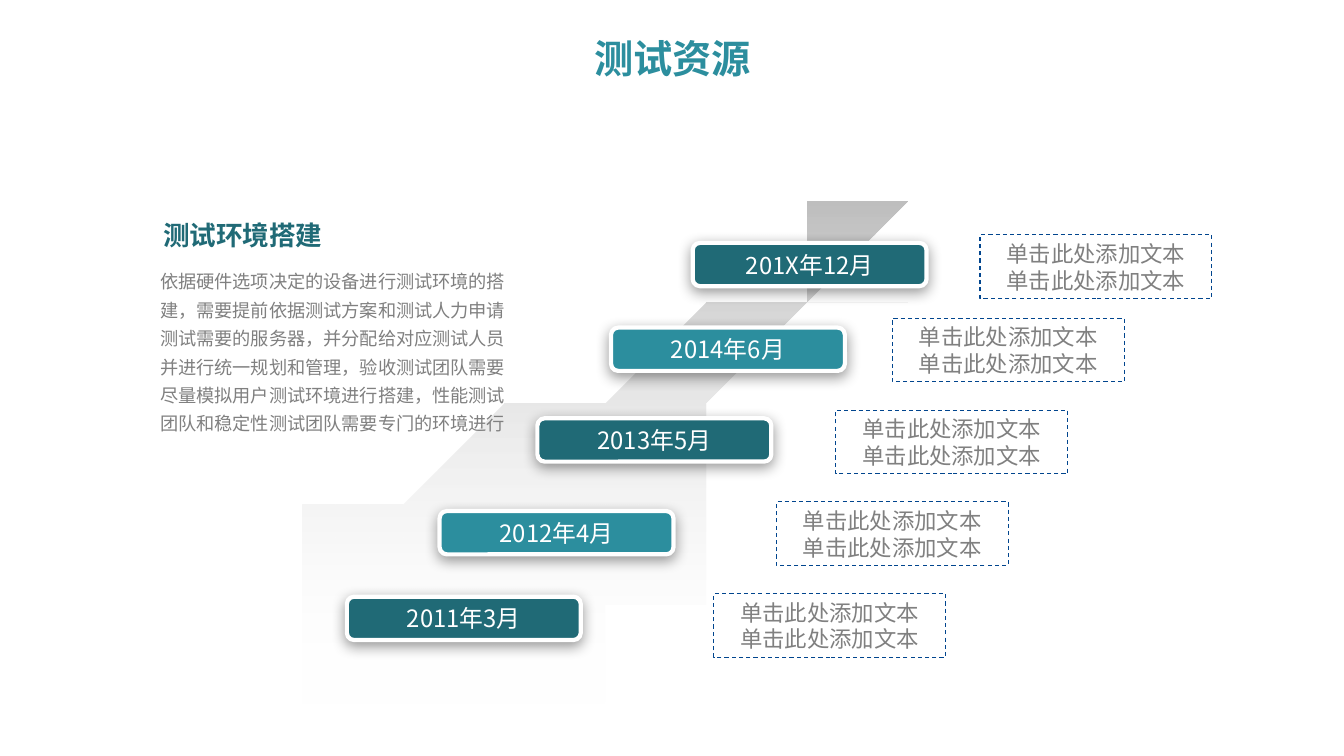
from lxml.etree import SubElement
from pptx import Presentation
from pptx.dml.color import RGBColor
from pptx.enum.dml import MSO_LINE
from pptx.enum.shapes import MSO_SHAPE as SHAPE
from pptx.enum.text import MSO_ANCHOR as ANCHOR, PP_ALIGN as ALIGN
from pptx.oxml import parse_xml
from pptx.oxml.ns import nsdecls, qn
from pptx.util import Inches, Pt

TEAL, DARK, GREY, WHITE = "2C8E9E", "206A76", "808080", "FFFFFF"
CJK = "Noto Sans CJK SC"
rgb = RGBColor.from_string


def put_text(sp, *lines, size, color, font=CJK, bold=False,
             align=ALIGN.LEFT, anchor=ANCHOR.MIDDLE, spacing=None):
    tf = sp.text_frame
    tf.word_wrap = True
    tf.vertical_anchor = anchor
    for i, line in enumerate(lines):
        p = tf.add_paragraph() if i else tf.paragraphs[0]
        p.alignment = align
        if spacing:
            p.line_spacing = spacing
        r = p.add_run()
        r.text = line
        r.font.size, r.font.bold, r.font.name = Pt(size), bold, font
        r.font.color.rgb = rgb(color)
        SubElement(r.font._element, qn("a:ea"), typeface=CJK)


prs = Presentation()
prs.slide_width, prs.slide_height = Inches(13.33), Inches(7.5)
s = prs.slides.add_slide(prs.slide_layouts[6])

# Rising arrow, fading out towards the bottom
outline = [
    (2.69, 5.56), (3.13, 5.29), (3.58, 5.06), (4.08, 4.82), (4.7, 4.5),
    (5.45, 4.11), (5.95, 3.82), (6.28, 3.64), (6.74, 3.33), (7.14, 3.05),
    (7.51, 2.74), (7.81, 2.51), (8.25, 2.15), (7.94, 2.01), (9.05, 1.65),
    (9.08, 2.63), (8.73, 2.4), (8.29, 2.83), (7.76, 3.36), (7.39, 3.81),
    (7.21, 4.13), (7.04, 4.46), (6.93, 4.76), (6.83, 5.05), (6.63, 5.61),
    (6.49, 6.14), (6.39, 6.56), (6.25, 7.04), (2.69, 7.04),
]
builder = s.shapes.build_freeform(*outline[0], scale=Inches(1))
builder.add_line_segments(outline[1:], close=True)
arrow = builder.convert_to_shape()
arrow.shadow.inherit = False
arrow.line.fill.background()
arrow.fill.gradient()
arrow.fill.gradient_angle = 270
for stop, color, position in zip(arrow.fill.gradient_stops, ("BFBFBF", WHITE), (0, 1)):
    stop.color.rgb = rgb(color)
    stop.position = position
faded = arrow._element.spPr.findall(".//" + qn("a:srgbClr"))[-1]
SubElement(faded, qn("a:alpha"), val="0")

# Milestones from the bottom up: date, left and top of the tag, left and top of the note
milestones = [
    ("2011年3月", 3.44, 5.92, 7.08, 5.89),
    ("2012年4月", 4.36, 5.07, 7.7, 4.98),
    ("2013年5月", 5.33, 4.15, 8.29, 4.07),
    ("2014年6月", 6.06, 3.25, 8.85, 3.16),
    ("201X年12月", 6.87, 2.41, 9.72, 2.33),
]
for i, (date, tag_x, tag_y, note_x, note_y) in enumerate(milestones):
    tag = s.shapes.add_shape(SHAPE.ROUNDED_RECTANGLE, Inches(tag_x), Inches(tag_y),
                             Inches(2.32), Inches(0.43))
    tag.fill.solid()
    tag.fill.fore_color.rgb = rgb(TEAL if i % 2 else DARK)
    tag.line.color.rgb = rgb(WHITE)
    tag.line.width = Pt(3)
    tag.shadow.inherit = False
    tag._element.spPr.find(qn("a:effectLst")).append(parse_xml(
        f'<a:outerShdw {nsdecls("a")} blurRad="{Pt(10)}" dist="{Pt(3)}" dir="5400000" '
        'algn="t" rotWithShape="0"><a:srgbClr val="000000"><a:alpha val="40000"/>'
        '</a:srgbClr></a:outerShdw>'))
    put_text(tag, date, size=17, color=WHITE, align=ALIGN.CENTER)

    note = s.shapes.add_shape(SHAPE.RECTANGLE, Inches(note_x), Inches(note_y),
                              Inches(2.3), Inches(0.63))
    note.shadow.inherit = False
    note.fill.background()
    note.line.color.rgb = rgb("01458E")
    note.line.width = Pt(0.75)
    note.line.dash_style = MSO_LINE.DASH
    put_text(note, *["单击此处添加文本"] * 2, size=16, color=GREY,
             align=ALIGN.CENTER, anchor=ANCHOR.TOP, spacing=Pt(19.2))

body = s.shapes.add_textbox(Inches(1.49), Inches(2.57), Inches(3.71), Inches(1.32))
put_text(body, "依据硬件选项决定的设备进行测试环境的搭建，需要提前依据测试方案和测试人力申请"
         "测试需要的服务器，并分配给对应测试人员并进行统一规划和管理，验收测试团队需要"
         "尽量模拟用户测试环境进行搭建，性能测试团队和稳定性测试团队需要专门的环境进行",
         size=13, color=GREY, anchor=ANCHOR.TOP, spacing=Pt(20.3))

heading = s.shapes.add_textbox(Inches(1.52), Inches(2.01), Inches(3.15), Inches(0.64))
put_text(heading, "测试环境搭建", size=19, color=DARK, bold=True)

title = s.shapes.add_textbox(Inches(0.92), Inches(0.23), Inches(11.5), Inches(0.75))
put_text(title, "测试资源", size=28, color=TEAL, font="Montserrat", bold=True,
         align=ALIGN.CENTER, spacing=0.9)

prs.save("out.pptx")
